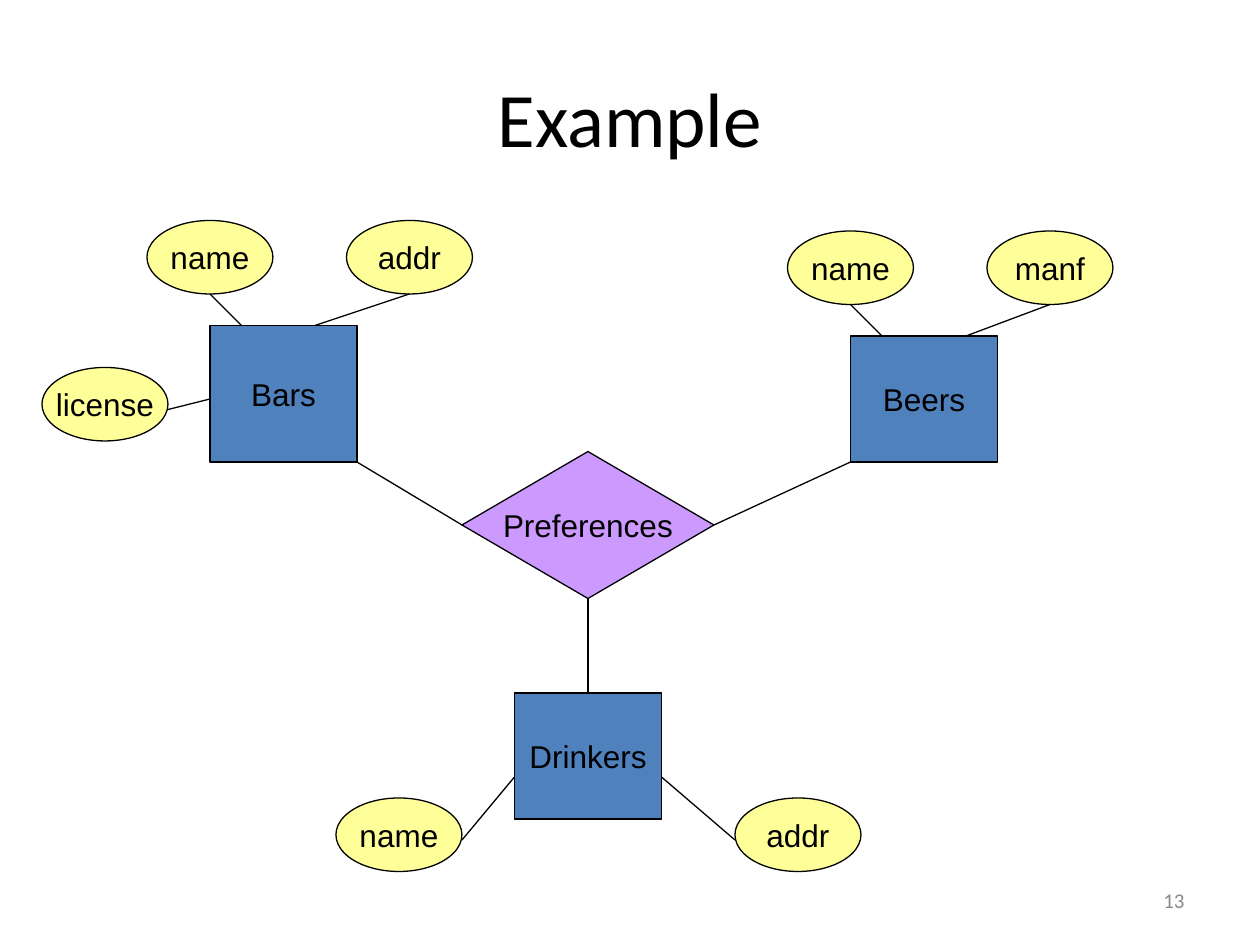
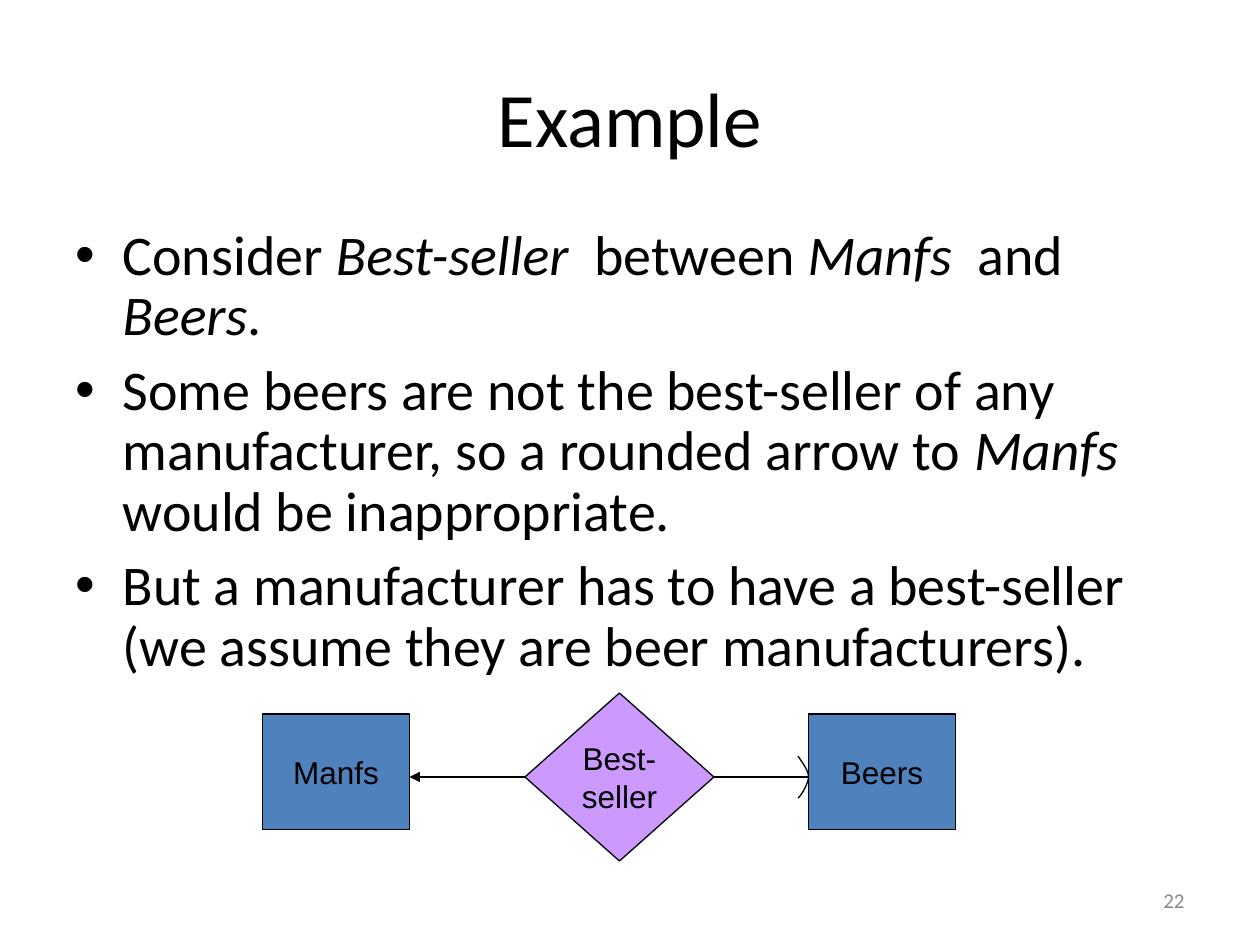
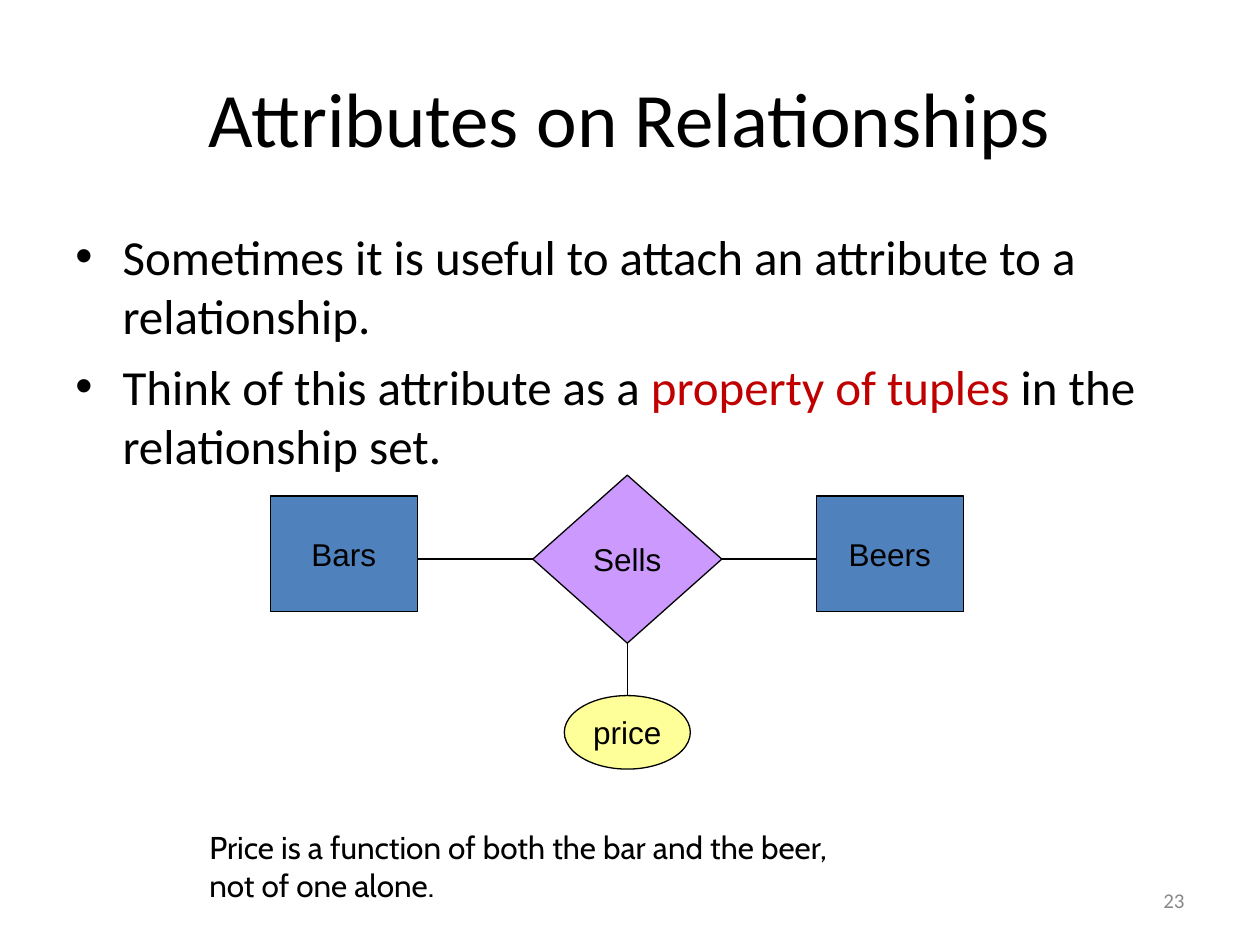
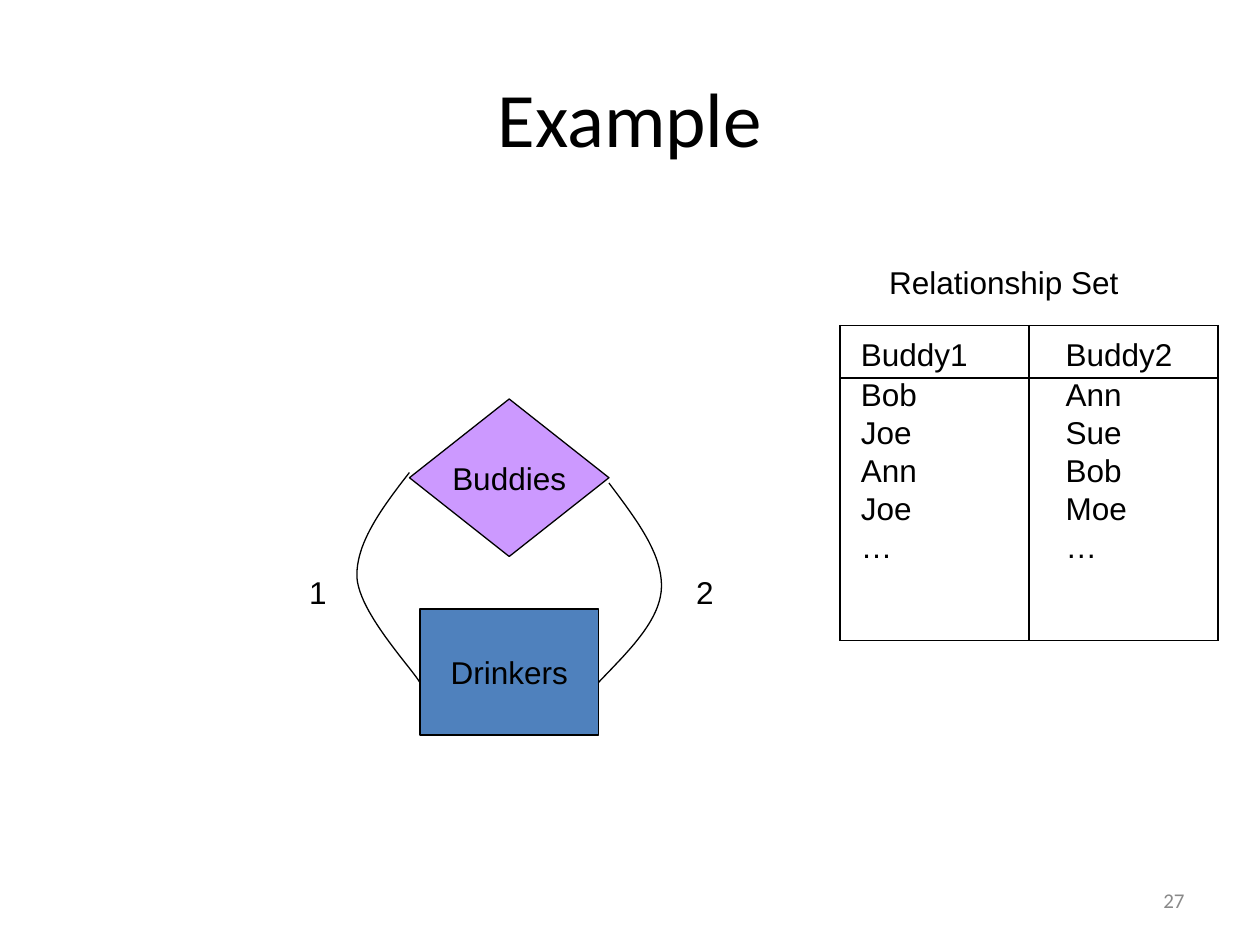
from dataclasses import dataclass

from lxml.etree import SubElement
from pptx import Presentation
from pptx.dml.color import RGBColor
from pptx.enum.shapes import MSO_CONNECTOR, MSO_SHAPE
from pptx.enum.text import MSO_ANCHOR as Anchor, PP_ALIGN as Align
from pptx.oxml.ns import qn
from pptx.util import Emu, Pt

PIXEL = 9525  # EMU, 96 px to the inch


@dataclass(frozen=True)
class Theme:
    ink: str = "000000"
    muted: str = "898989"
    accent: str = "C00000"
    entity: str = "4F81BD"
    attribute: str = "FFFF99"
    relationship: str = "CC99FF"
    title_font: str = "Calibri"
    diagram_font: str = "Arial"
    note_font: str = "Cabin"
    title_size: int = 44
    diagram_size: int = 18
    number_size: int = 12
    line_width: float = 0.75


THEME = Theme()


def px(*lengths):
    return [Emu(round(length * PIXEL)) for length in lengths]


def italic(text):
    return text, {"italic": True}


def add_bullet(paragraph):
    properties = paragraph._p.get_or_add_pPr()
    indent = px(36)[0]
    properties.set("marL", str(indent))
    properties.set("indent", str(-indent))
    colour = SubElement(properties, qn("a:buClr"))
    SubElement(colour, qn("a:srgbClr"), val=THEME.ink)
    SubElement(properties, qn("a:buFont"), typeface="Arial")
    SubElement(properties, qn("a:buChar"), char="•")


def write(frame, *paragraphs, size=THEME.diagram_size, font=THEME.diagram_font,
          colour=THEME.ink, align=Align.LEFT, anchor=Anchor.TOP, wrap=True,
          bullet=False, space_before=0, line_spacing=None):
    """Fill a frame; a paragraph is a string or a list of strings and (text, format) pairs."""
    frame.word_wrap = wrap
    frame.vertical_anchor = anchor
    for index, content in enumerate(paragraphs):
        paragraph = frame.add_paragraph() if index else frame.paragraphs[0]
        if bullet:
            add_bullet(paragraph)
        paragraph.alignment = align
        paragraph.line_spacing = line_spacing
        if index and space_before:
            paragraph.space_before = Pt(space_before)
        for part in [content] if isinstance(content, str) else content:
            text, changes = (part, {}) if isinstance(part, str) else part
            run = paragraph.add_run()
            run.text = text
            run.font.name = font
            run.font.size = Pt(size)
            run.font.italic = changes.get("italic")
            run.font.color.rgb = RGBColor.from_string(changes.get("colour", colour))


def set_borders(cell, sides):
    """Draw the named sides (from "LRTB") of a table cell and hide the others."""
    properties = cell._tc.get_or_add_tcPr()
    for side in "LRTB":
        border = SubElement(properties, qn(f"a:ln{side}"), w=str(Pt(THEME.line_width)))
        if side in sides:
            fill = SubElement(border, qn("a:solidFill"))
            SubElement(fill, qn("a:srgbClr"), val=THEME.ink)
        else:
            SubElement(border, qn("a:noFill"))


def bezier(start, first, second, end, steps=24):
    for step in range(1, steps + 1):
        t = step / steps
        weights = ((1 - t) ** 3, 3 * t * (1 - t) ** 2, 3 * t ** 2 * (1 - t), t ** 3)
        yield tuple(sum(weight * point[axis] for weight, point
                        in zip(weights, (start, first, second, end)))
                    for axis in (0, 1))


class Deck:
    def __init__(self, theme):
        self.theme = theme
        self.presentation = Presentation()
        self.presentation.slide_width, self.presentation.slide_height = px(960, 720)
        self.slide = None

    def start_slide(self, title, number):
        self.slide = self.presentation.slides.add_slide(self.presentation.slide_layouts[6])
        self.text(48, 29, 864, 120, title, size=self.theme.title_size,
                  font=self.theme.title_font, align=Align.CENTER, anchor=Anchor.MIDDLE)
        self.text(688, 667, 224, 38, str(number), size=self.theme.number_size,
                  font=self.theme.title_font, colour=self.theme.muted,
                  align=Align.RIGHT, anchor=Anchor.MIDDLE)

    def text(self, left, top, width, height, *paragraphs, **text_format):
        box = self.slide.shapes.add_textbox(*px(left, top, width, height))
        write(box.text_frame, *paragraphs, **text_format)

    def bullets(self, *paragraphs, size, line_spacing=None):
        self.text(48, 168, 864, 475, *paragraphs, size=size, font=self.theme.title_font,
                  bullet=True, space_before=size / 4, line_spacing=line_spacing)

    def outline(self, item):
        item.line.color.rgb = RGBColor.from_string(self.theme.ink)
        item.line.width = Pt(self.theme.line_width)

    def node(self, kind, fill, box, *lines):
        shape = self.slide.shapes.add_shape(kind, *px(*box))
        shape.shadow.inherit = False
        shape.fill.solid()
        shape.fill.fore_color.rgb = RGBColor.from_string(fill)
        self.outline(shape)
        write(shape.text_frame, *lines, align=Align.CENTER, anchor=Anchor.MIDDLE, wrap=False)

    def entity(self, left, top, name, width=112, height=96):
        self.node(MSO_SHAPE.RECTANGLE, self.theme.entity, (left, top, width, height), name)

    def attribute(self, left, top, name):
        self.node(MSO_SHAPE.OVAL, self.theme.attribute, (left, top, 96, 56), name)

    def relationship(self, left, top, width, height, *lines):
        self.node(MSO_SHAPE.DIAMOND, self.theme.relationship,
                  (left, top, width, height), *lines)

    def line(self, start, end, arrow=False):
        connector = self.slide.shapes.add_connector(
            MSO_CONNECTOR.STRAIGHT, *px(*start, *end))
        self.outline(connector)
        if arrow:
            SubElement(connector.line._get_or_add_ln(), qn("a:tailEnd"), type="triangle")
        SubElement(connector._element.spPr, qn("a:effectLst"))

    def curve(self, start, *segments):
        """Draw an open curve; each segment is two control points and an end point."""
        points = [start]
        for segment in segments:
            points.extend(bezier(points[-1], *segment))
        corners = [px(*point) for point in points]
        builder = self.slide.shapes.build_freeform(*corners[0])
        builder.add_line_segments(corners[1:], close=False)
        shape = builder.convert_to_shape()
        shape.shadow.inherit = False
        shape.fill.background()
        self.outline(shape)

    def binary_relationship(self, left, top, first, second, *lines, arrow=False):
        """Draw two entities joined through a diamond."""
        middle = top + 64
        for entity_left, name in ((left, first), (left + 416, second)):
            self.entity(entity_left, top + 16, name, height=88)
        self.relationship(left + 200, top, 144, 128, *lines)
        self.line((left + 200, middle), (left + 112, middle), arrow=arrow)
        self.line((left + 344, middle), (left + 416, middle))

    def table(self, left, top, column_widths, row_heights, rows, indents):
        frame = self.slide.shapes.add_table(
            len(rows), len(column_widths),
            *px(left, top, sum(column_widths), sum(row_heights)))
        table = frame.table
        table.first_row = table.horz_banding = False
        for column, width in zip(table.columns, px(*column_widths)):
            column.width = width
        for index, (height, values) in enumerate(zip(px(*row_heights), rows)):
            table.rows[index].height = height
            is_header = index == 0
            sides = "LR" + ("TB" if is_header else "")
            sides += "T" if index == 1 else ""
            sides += "B" if index == len(rows) - 1 else ""
            for position, value in enumerate(values):
                cell = table.cell(index, position)
                set_borders(cell, sides)
                cell.fill.background()
                cell.margin_left = px(indents[position])[0]
                cell.margin_right = cell.margin_top = 0
                cell.margin_bottom = px(4 if is_header else 0)[0]
                cell.vertical_anchor = Anchor.BOTTOM if is_header else Anchor.TOP
                write(cell.text_frame, value,
                      anchor=cell.vertical_anchor)


def add_preferences_slide(deck):
    deck.start_slide("Example", 13)
    deck.entity(160, 248, "Bars", height=104)
    deck.entity(648, 256, "Beers")
    deck.entity(392, 528, "Drinkers")
    for left, top, name in (
        (112, 168, "name"), (600, 176, "name"), (264, 168, "addr"), (752, 176, "manf"),
        (256, 608, "name"), (560, 608, "addr"), (32, 280, "license"),
    ):
        deck.attribute(left, top, name)
    deck.relationship(352, 344, 192, 112, "Preferences")
    for start, end in (
        ((128, 312), (160, 304)), ((160, 224), (184, 248)), ((312, 224), (240, 248)),
        ((352, 640), (392, 592)), ((560, 640), (504, 592)),
        ((648, 232), (672, 256)), ((800, 232), (736, 256)),
        ((352, 400), (272, 352)), ((448, 456), (448, 528)), ((544, 400), (648, 352)),
    ):
        deck.line(start, end)


def add_best_seller_slide(deck):
    deck.start_slide("Example", 22)
    deck.bullets(
        ["Consider ", italic("Best-seller"), "  between ", italic("Manfs"),
         "  and ", italic("Beers"), "."],
        ["Some beers are not the best-seller of any manufacturer, "
         "so a rounded arrow to ", italic("Manfs"), "  would be inappropriate."],
        "But a manufacturer has to have a best-seller "
        "(we assume they are beer manufacturers).",
        size=32, line_spacing=0.9)
    deck.binary_relationship(200, 528, "Manfs", "Beers", "Best-", "seller", arrow=True)
    deck.curve((608, 576),
               ((612, 582), (616, 587), (616, 592)),
               ((616, 597), (610, 607), (608, 608)))


def add_attributes_slide(deck):
    deck.start_slide("Attributes on Relationships", 23)
    deck.bullets(
        "Sometimes it is useful to attach an attribute to a relationship.",
        ["Think of this attribute as a ",
         ("property of tuples ", {"colour": THEME.accent}), "in the relationship set."],
        size=28)
    deck.binary_relationship(206, 362, "Bars", "Beers", "Sells")
    deck.attribute(430, 530, "price")
    deck.line((478, 490), (478, 530))
    deck.text(150, 626, 722, 67, "Price is a function of both the bar and the beer,",
              "not of one alone.", font=THEME.note_font)


def add_buddies_slide(deck):
    deck.start_slide("Example", 27)
    deck.entity(320, 464, "Drinkers", width=136)
    deck.relationship(312, 304, 152, 120, "Buddies")
    for left, role in ((226, "1"), (521, "2")):
        deck.text(left, 432, 33, 38, role, wrap=False)
    deck.curve((464, 368),
               ((485, 396), (505, 422), (504, 448)),
               ((503, 473), (479, 496), (456, 520)))
    deck.curve((312, 360),
               ((291, 387), (271, 414), (272, 440)),
               ((274, 467), (312, 507), (320, 520)))
    deck.text(668, 196, 200, 38, "Relationship Set", wrap=False)
    deck.table(640, 248, (144, 144), (40, 29, 29, 29, 29, 84),
               (("Buddy1", "Buddy2"), ("Bob", "Ann"), ("Joe", "Sue"),
                ("Ann", "Bob"), ("Joe", "Moe"), ("…", "…")),
               indents=(16, 28))


def main():
    deck = Deck(THEME)
    add_preferences_slide(deck)
    add_best_seller_slide(deck)
    add_attributes_slide(deck)
    add_buddies_slide(deck)
    deck.presentation.save("out.pptx")


if __name__ == "__main__":
    main()
